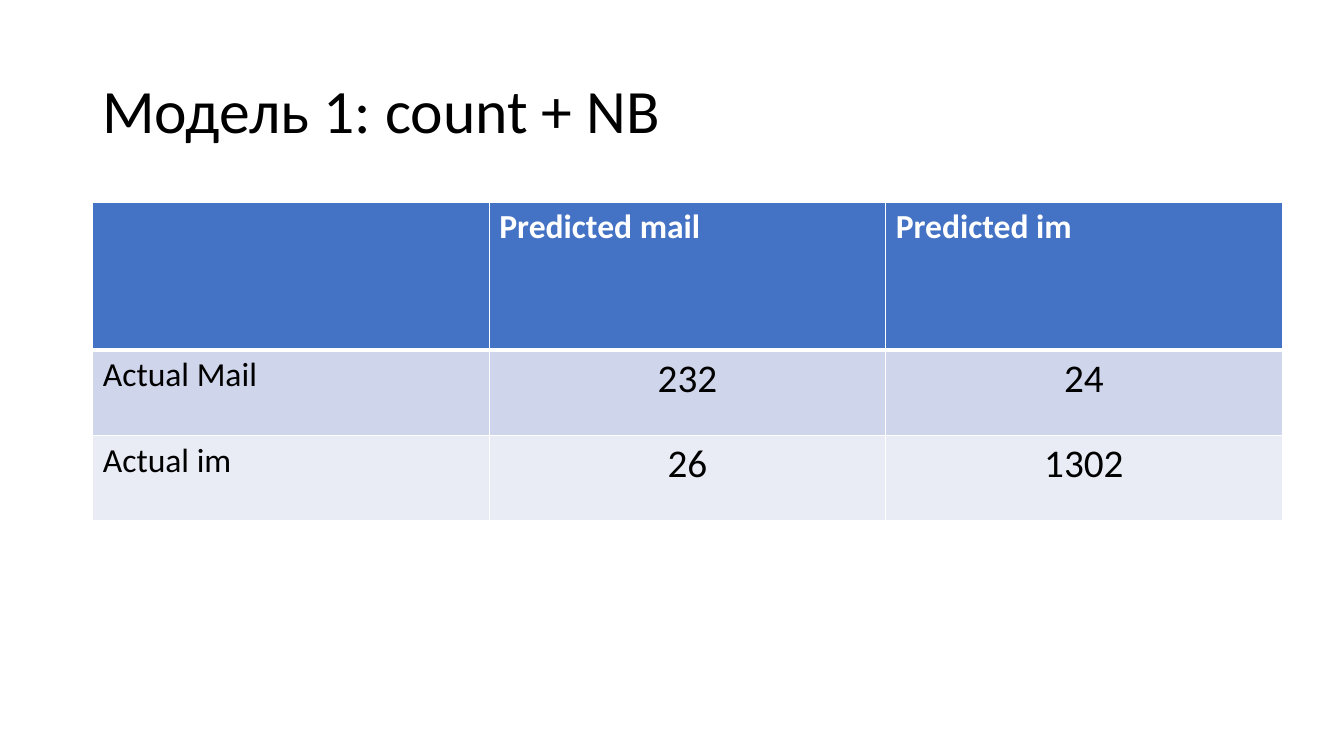
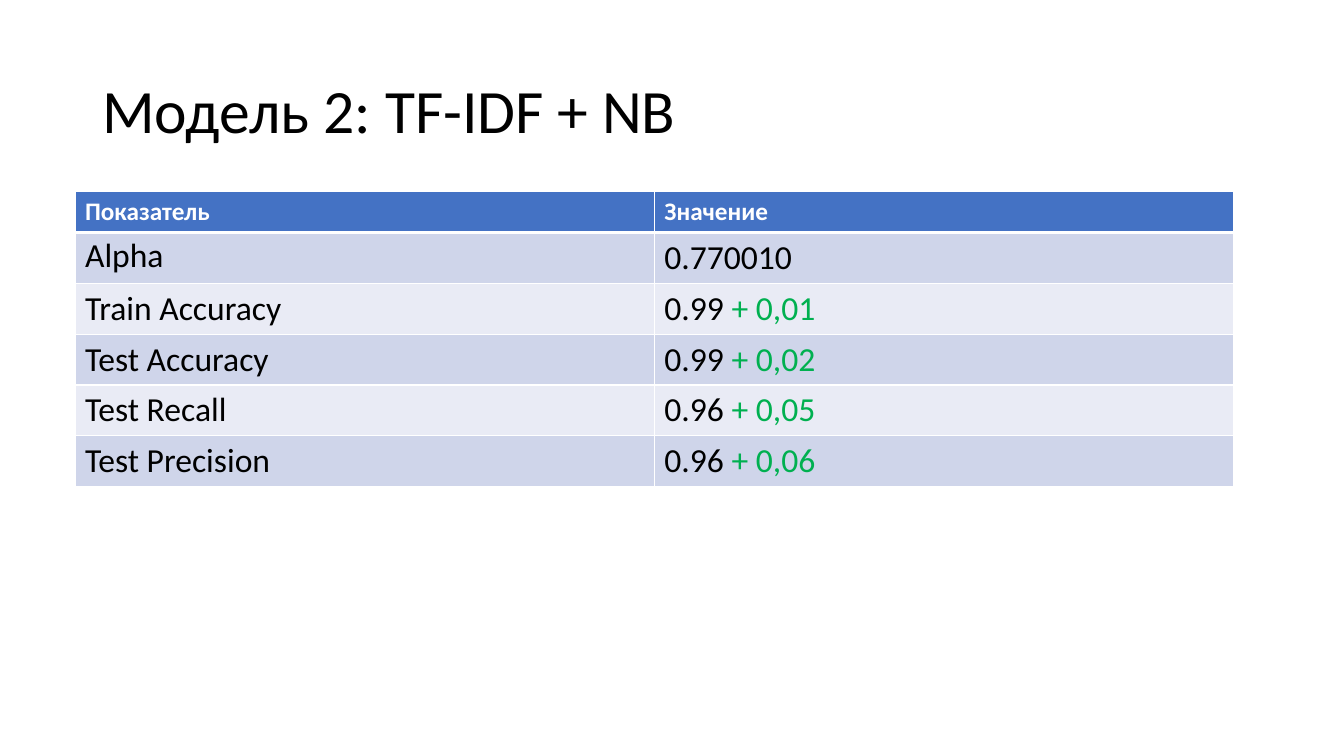
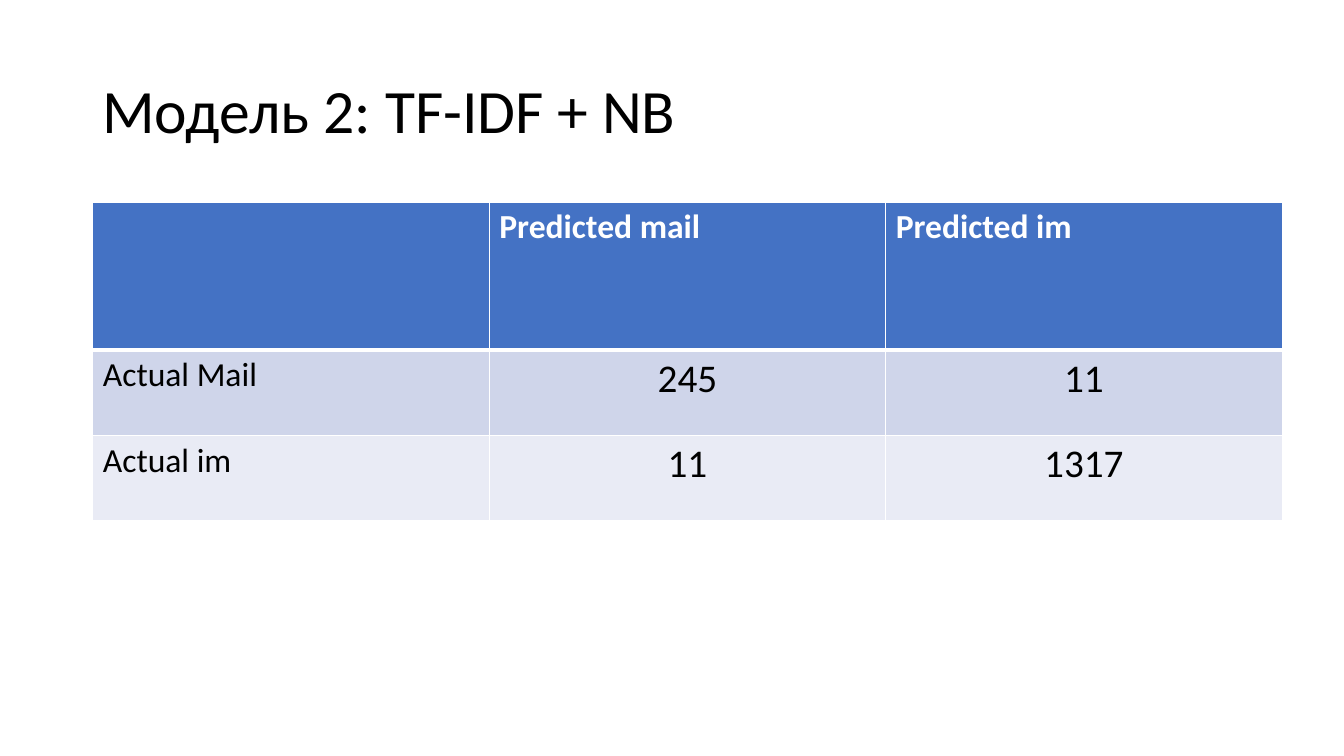
from dataclasses import dataclass

from lxml import etree
from pptx import Presentation
from pptx import util as u
from pptx.dml.color import RGBColor
from pptx.enum import text as t
from pptx.oxml import ns

FONT = "Calibri"
COLORS = {
    "ink": "000000",
    "paper": "FFFFFF",
    "header": "4472C4",
    "band_dark": "CFD5EA",
    "band_light": "E9EBF5",
    "gain": "00B050",
}
THIN, THICK = u.Pt(1), u.Pt(3)


@dataclass(frozen=True)
class Entry:
    """Text of one table cell, with an optional gain and format."""
    text: str
    gain: str = ""
    size: float = 24
    align: t.PP_ALIGN = t.PP_ALIGN.LEFT
    line_spacing: float = 1.0
    space_before: float = 0


@dataclass(frozen=True)
class Grid:
    """A banded table; lengths are in centimetres."""
    left: float
    top: float
    column_width: float
    header_height: float
    row_height: float
    rows: list[list[Entry]]


@dataclass(frozen=True)
class ModelSlide:
    """A title and the table below it."""
    title: str
    grid: Grid


def write_text(frame, content: str, *, size: float, color: str = "ink",
               bold: bool = False, align=t.PP_ALIGN.LEFT,
               line_spacing: float = 1.0, space_before: float = 0,
               gain: str = "") -> None:
    """Write one paragraph, followed by an optional green gain."""
    para = frame.paragraphs[0]
    para.alignment = align
    para.line_spacing = line_spacing
    para.space_before = u.Pt(space_before)
    parts = [(content + " ", color), (gain, "gain")] if gain else [(content, color)]
    for words, shade in parts:
        span = para.add_run()
        span.text = words
        span.font.name = FONT
        span.font.size = u.Pt(size)
        span.font.bold = bold
        span.font.color.rgb = RGBColor.from_string(COLORS[shade])


def add_title(page, title: str) -> None:
    """Add the title shared by all slides."""
    box = page.shapes.add_textbox(u.Cm(2.33), u.Cm(1.01), u.Cm(29.21), u.Cm(3.68))
    box.text_frame.word_wrap = True
    box.text_frame.vertical_anchor = t.MSO_ANCHOR.MIDDLE
    write_text(box.text_frame, title, size=44, line_spacing=0.9)


def set_borders(cell, top: int, bottom: int) -> None:
    """Give a cell white borders; call before setting its fill."""
    properties = cell._tc.get_or_add_tcPr()
    widths = {"a:lnL": THIN, "a:lnR": THIN, "a:lnT": top, "a:lnB": bottom}
    for tag, width in widths.items():
        line = etree.SubElement(properties, ns.qn(tag), w=str(int(width)))
        fill = etree.SubElement(line, ns.qn("a:solidFill"))
        etree.SubElement(fill, ns.qn("a:srgbClr"), val=COLORS["paper"])


def add_grid(page, grid: Grid) -> None:
    """Draw a table with a header and alternating bands."""
    row_count, column_count = len(grid.rows), len(grid.rows[0])
    heights = [grid.header_height] + [grid.row_height] * (row_count - 1)
    table = page.shapes.add_table(
        row_count, column_count, u.Cm(grid.left), u.Cm(grid.top),
        u.Cm(grid.column_width * column_count), u.Cm(sum(heights))).table
    for column in table.columns:
        column.width = u.Cm(grid.column_width)
    for index, entries in enumerate(grid.rows):
        table.rows[index].height = u.Cm(heights[index])
        is_header = index == 0
        band = "header" if is_header else "band_dark" if index % 2 else "band_light"
        for cell, entry in zip(table.rows[index].cells, entries):
            set_borders(cell, top=THICK if index == 1 else THIN,
                        bottom=THICK if is_header else THIN)
            cell.fill.solid()
            cell.fill.fore_color.rgb = RGBColor.from_string(COLORS[band])
            if entry.text:
                write_text(cell.text_frame, entry.text, gain=entry.gain,
                           size=entry.size, align=entry.align, bold=is_header,
                           color="paper" if is_header else "ink",
                           line_spacing=entry.line_spacing,
                           space_before=entry.space_before)


def confusion_grid(mail: tuple[int, int], im: tuple[int, int]) -> Grid:
    """Describe a confusion matrix from its two rows of counts."""
    rows = [[Entry(""), Entry("Predicted mail"), Entry("Predicted im")]]
    for label, counts in (("Actual Mail", mail), ("Actual im", im)):
        rows.append([Entry(label)] + [
            Entry(str(count), size=28, align=t.PP_ALIGN.CENTER) for count in counts])
    return Grid(2.34, 5.09, 9.99, 3.73, 2.15, rows)


def metrics_grid(alpha: str, metrics: list[tuple[str, str, str]]) -> Grid:
    """Describe a table of metrics with their gains."""
    rows = [
        [Entry("Показатель", size=18), Entry("Значение", size=18)],
        [Entry("Alpha", line_spacing=0.9, space_before=10), Entry(alpha)],
    ]
    rows += [[Entry(name), Entry(score, gain=gain)] for name, score, gain in metrics]
    return Grid(1.89, 4.83, 14.6, 1.03, 1.28, rows)


SLIDES = [
    ModelSlide("Модель 1: count + NB", confusion_grid((232, 24), (26, 1302))),
    ModelSlide("Модель 2: TF-IDF + NB", metrics_grid("0.770010", [
        ("Train Accuracy", "0.99", "+ 0,01"),
        ("Test Accuracy", "0.99", "+ 0,02"),
        ("Test Recall", "0.96", "+ 0,05"),
        ("Test Precision", "0.96", "+ 0,06"),
    ])),
    ModelSlide("Модель 2: TF-IDF + NB", confusion_grid((245, 11), (11, 1317))),
]


def main() -> None:
    """Build and save the deck."""
    deck = Presentation()
    deck.slide_width, deck.slide_height = u.Cm(33.87), u.Cm(19.05)
    for model in SLIDES:
        page = deck.slides.add_slide(deck.slide_layouts[6])
        add_title(page, model.title)
        add_grid(page, model.grid)
    deck.save("out.pptx")


main()
